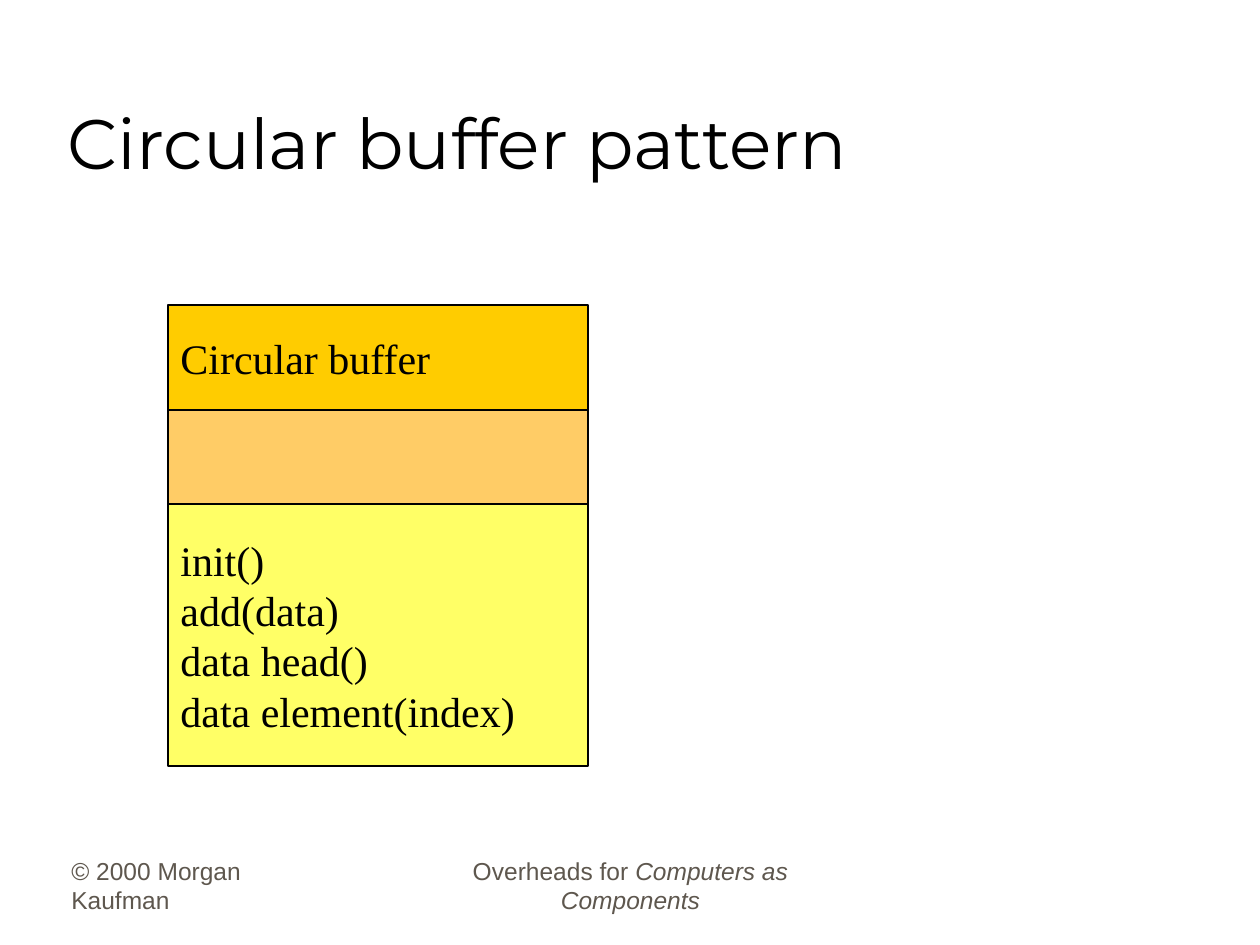
import pptx
import pptx.dml.color
import pptx.enum.shapes
import pptx.enum.text
import pptx.util

EMU_PER_PX = 914400 / 126
ANCHOR = pptx.enum.text.MSO_ANCHOR
ALIGN = pptx.enum.text.PP_ALIGN

TITLE = {"name": "Montserrat", "size": pptx.util.Pt(40)}
FOOTER = {"name": "Arial", "size": pptx.util.Pt(14)}
CLASS_TEXT = {"name": "Times New Roman", "size": pptx.util.Pt(24)}


def px(length):
    return pptx.util.Emu(round(length * EMU_PER_PX))


def color(value):
    return pptx.dml.color.RGBColor.from_string(value)


class SlideBuilder:
    """Holds the shared style and the slide being filled."""

    ink = "000000"
    muted = "5E574E"
    line_width = pptx.util.Pt(0.75)

    def __init__(self, slide):
        self.slide = slide

    def fill_text(self, shape, paragraphs, font, ink, anchor, align=ALIGN.LEFT):
        """Fill a shape with paragraphs, each a list of (text, italic) runs."""
        frame = shape.text_frame
        frame.word_wrap = True
        frame.vertical_anchor = anchor
        for index, runs in enumerate(paragraphs):
            paragraph = frame.add_paragraph() if index else frame.paragraphs[0]
            paragraph.alignment = align
            for text, italic in runs:
                run = paragraph.add_run()
                run.text = text
                for attribute, value in {**font, "italic": italic}.items():
                    setattr(run.font, attribute, value)
                run.font.color.rgb = color(ink)

    def text(self, box, runs, font, ink, align=ALIGN.LEFT):
        shape = self.slide.shapes.add_textbox(*map(px, box))
        self.fill_text(shape, [runs], font, ink, ANCHOR.BOTTOM, align)

    def compartment(self, box, fill, lines):
        """Draw one section of a class diagram."""
        shape = self.slide.shapes.add_shape(
            pptx.enum.shapes.MSO_SHAPE.RECTANGLE, *map(px, box))
        shape.shadow.inherit = False
        shape.fill.solid()
        shape.fill.fore_color.rgb = color(fill)
        shape.line.color.rgb = color(self.ink)
        shape.line.width = self.line_width
        self.fill_text(shape, [[(line, False)] for line in lines],
                       CLASS_TEXT, self.ink, ANCHOR.MIDDLE)


def main():
    presentation = pptx.Presentation()
    presentation.slide_width = px(1260)
    presentation.slide_height = px(945)
    builder = SlideBuilder(
        presentation.slides.add_slide(presentation.slide_layouts[6]))

    builder.text((59, 858, 262, 63), [("© 2000 Morgan Kaufman", False)],
                 FOOTER, builder.muted)
    builder.text((431, 858, 399, 63),
                 [("Overheads for ", False), ("Computers as Components", True)],
                 FOOTER, builder.muted, ALIGN.CENTER)
    builder.text((55, 32, 1071, 158), [("Circular buffer pattern", False)],
                 TITLE, builder.ink)

    top = 305
    for height, fill, lines in (
        (105, "FFCC00", ["Circular buffer"]),
        (94, "FFCC66", []),
        (262, "FFFF66",
         ["init()", "add(data)", "data head()", "data element(index)"]),
    ):
        builder.compartment((168, top, 420, height), fill, lines)
        top += height

    presentation.save("out.pptx")


if __name__ == "__main__":
    main()
